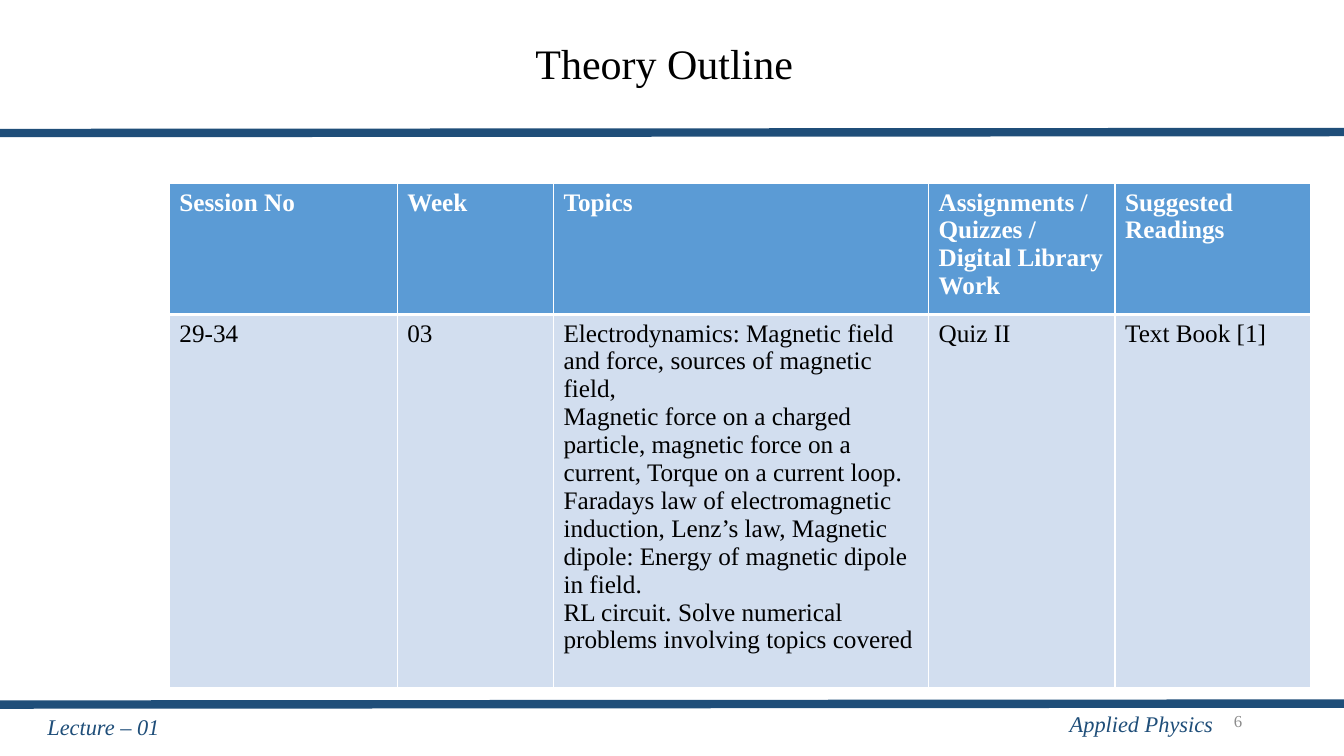
"""Build the Theory Outline slide of an Applied Physics lecture."""
from pptx import Presentation, util as u
from pptx.dml.color import RGBColor
from pptx.enum import shapes, text
from pptx.oxml import parse_xml
from pptx.oxml.ns import nsdecls

COLORS = {"navy": "1F4E79", "header": "5B9BD5", "body": "D2DEEF",
          "white": "FFFFFF", "black": "000000", "gray": "8C8C8C"}


def write(frame, content, size=18, color="black", bold=False, italic=False,
          align=text.PP_ALIGN.LEFT, anchor=text.MSO_ANCHOR.MIDDLE, spacing=None):
    frame.word_wrap = True
    frame.vertical_anchor = anchor
    frame.text = content
    for paragraph in frame.paragraphs:
        paragraph.alignment = align
        paragraph.line_spacing = spacing
        font = paragraph.runs[0].font
        font.name, font.size = "Times New Roman", u.Pt(size)
        font.bold, font.italic = bold, italic
        font.color.rgb = RGBColor.from_string(COLORS[color])


deck = Presentation()
deck.slide_width, deck.slide_height = u.Inches(13.33), u.Inches(7.5)
slide = deck.slides.add_slide(deck.slide_layouts[6])

right = text.PP_ALIGN.RIGHT
footer = dict(size=16, color="navy", italic=True, align=right)
labels = [
    ("Theory Outline", (1.91, 0.41, 9.36, 0.49),
     dict(size=30, align=text.PP_ALIGN.CENTER, spacing=0.9)),
    ("Applied Physics", (7.63, 6.98, 4.5, 0.4), footer),
    ("6", (9.42, 6.95, 3, 0.4), dict(size=12, color="gray", align=right)),
    ("Lecture – 01", (0.13, 7.01, 1.55, 0.4), footer),
]
for label, place, style in labels:
    box = slide.shapes.add_textbox(*[u.Inches(n) for n in place])
    write(box.text_frame, label, **style)

for start, end in [(1.32, 1.31), (6.99, 6.98)]:
    rule = slide.shapes.add_connector(
        shapes.MSO_CONNECTOR.STRAIGHT, 0, u.Inches(start), u.Inches(13.33), u.Inches(end))
    rule.line.color.rgb = RGBColor.from_string(COLORS["navy"])
    rule.line.width = u.Pt(6)
    rule._element.spPr.append(parse_xml(f'<a:effectLst {nsdecls("a")}/>'))

topics = "\n".join([
    "Electrodynamics: Magnetic field and force, sources of magnetic field,",
    "Magnetic force on a charged particle, magnetic force on a current, Torque on a current loop.",
    "Faradays law of electromagnetic induction, Lenz’s law, Magnetic dipole: "
    "Energy of magnetic dipole in field.",
    "RL circuit. Solve numerical problems involving topics covered",
])
sessions = [
    ["Session No", "Week", "Topics", "Assignments / Quizzes / Digital Library Work",
     "Suggested Readings"],
    ["29-34", "03", topics, "Quiz II", "Text Book [1]"],
]
widths, heights = [2.26, 1.55, 3.72, 1.85, 1.94], [1.2, 3.42]
outline = slide.shapes.add_table(
    len(heights), len(widths), u.Inches(1.68), u.Inches(1.82),
    u.Inches(sum(widths)), u.Inches(sum(heights))).table
for column, width in zip(outline.columns, widths):
    column.width = u.Inches(width)

for r, session in enumerate(sessions):
    outline.rows[r].height = u.Inches(heights[r])
    heading = r == 0
    for c, entry in enumerate(session):
        cell = outline.cell(r, c)
        write(cell.text_frame, entry, color="white" if heading else "black", bold=heading)
        cell.vertical_anchor = text.MSO_ANCHOR.TOP
        edges = {"L": 1, "R": 1, "T": 1 if heading else 3, "B": 3 if heading else 1}
        for side, points in edges.items():
            cell._tc.get_or_add_tcPr().append(parse_xml(
                f'<a:ln{side} {nsdecls("a")} w="{u.Pt(points)}"><a:solidFill>'
                f'<a:srgbClr val="{COLORS["white"]}"/></a:solidFill></a:ln{side}>'))
        cell.fill.solid()
        cell.fill.fore_color.rgb = RGBColor.from_string(COLORS["header" if heading else "body"])

deck.save("out.pptx")
